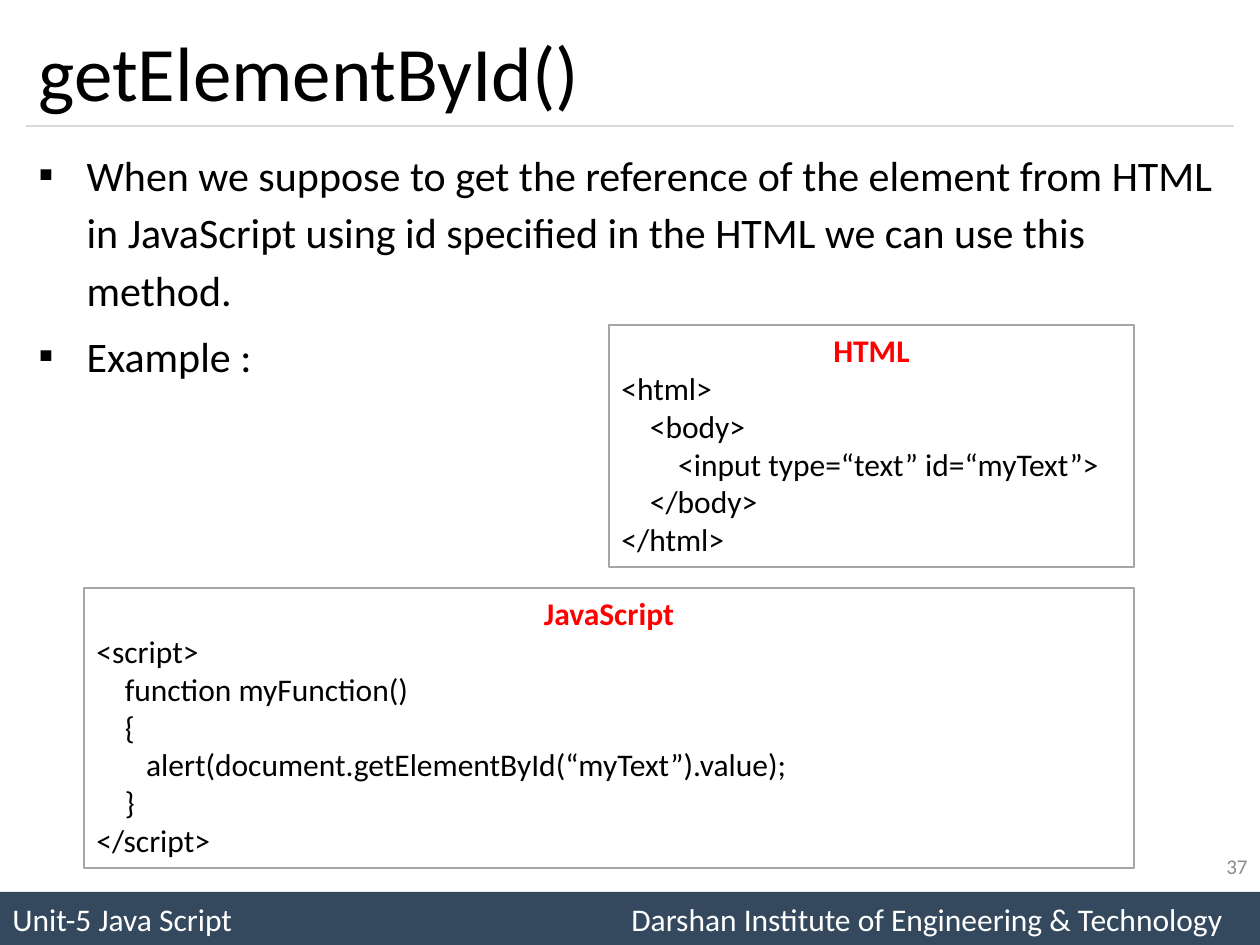
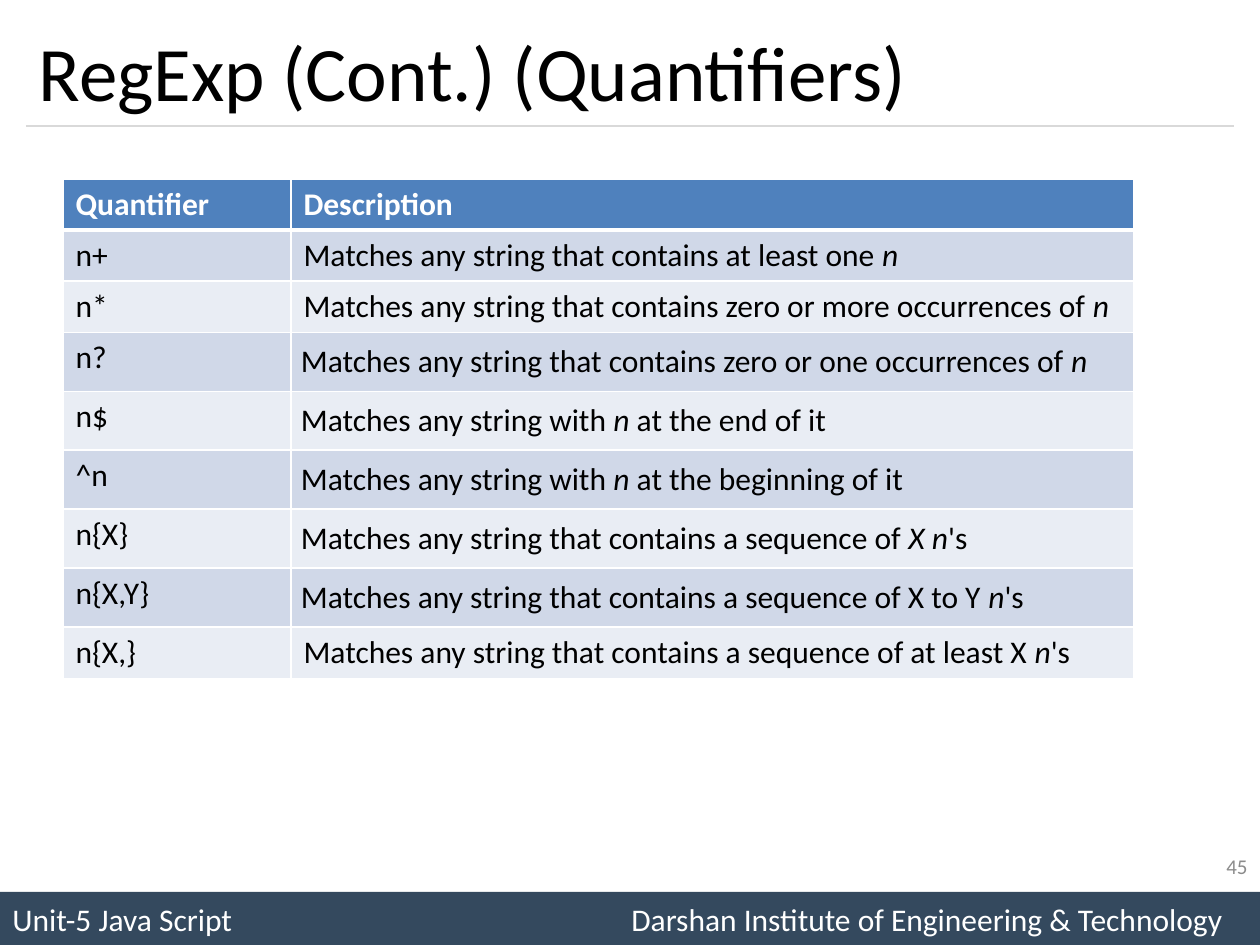
import dataclasses

import lxml.etree
import pptx
import pptx.dml.color
import pptx.enum.shapes
import pptx.enum.text
import pptx.oxml.ns
import pptx.util

qn = pptx.oxml.ns.qn
Align = pptx.enum.text.PP_ALIGN
Anchor = pptx.enum.text.MSO_ANCHOR
AutoSize = pptx.enum.text.MSO_AUTO_SIZE


@dataclasses.dataclass(frozen=True)
class Theme:
    font: str = "Calibri"
    ink: str = "000000"
    paper: str = "FFFFFF"
    band: str = "34495E"
    rule: str = "D9D9D9"
    frame: str = "A6A6A6"
    accent: str = "FF0000"
    muted: str = "8C8C8C"
    header: str = "4F81BD"
    stripes: tuple = ("D0D8E8", "E9EDF4")
    title_size: int = 44
    list_size: int = 24
    text_size: int = 18
    number_size: int = 12
    hairline: float = 0.75


def px(length):
    return pptx.util.Emu(round(length * 914400 / 126))


def rgb(value):
    return pptx.dml.color.RGBColor.from_string(value)


def set_text(paragraph, text, *, font, size, color, bold=False, align=Align.LEFT):
    """Fill a paragraph, setting the parts between underscores in italics."""
    paragraph.alignment = align
    for index, part in enumerate(text.split("_")):
        if part:
            run = paragraph.add_run()
            run.text = part
            run.font.name = font
            run.font.size = pptx.util.Pt(size)
            run.font.bold = bold
            run.font.italic = index % 2 == 1
            run.font.color.rgb = rgb(color)


class Deck:
    def __init__(self, theme):
        self.theme = theme
        self.presentation = pptx.Presentation()
        self.presentation.slide_width = px(1260)
        self.presentation.slide_height = px(945)
        self.slide = None

    def text(self, paragraph, text, **changes):
        style = dict(font=self.theme.font, size=self.theme.text_size, color=self.theme.ink)
        set_text(paragraph, text, **{**style, **changes})

    def paragraphs(self, frame, count):
        return [frame.paragraphs[0]] + [frame.add_paragraph() for _ in range(count - 1)]

    def place(self, item, left, top, width, height):
        item.left, item.top, item.width, item.height = map(px, (left, top, width, height))
        item.text_frame.word_wrap = True
        item.text_frame.auto_size = AutoSize.NONE
        return item.text_frame

    def start(self, layout, title, number):
        self.slide = self.presentation.slides.add_slide(self.presentation.slide_layouts[layout])
        self.footer("Unit-5 Java Script", "Darshan Institute of Engineering & Technology")
        self.divider(26, 1234, 126)
        heading = self.place(self.slide.shapes.title, 26, 15, 1208, 111)
        heading.vertical_anchor = Anchor.MIDDLE
        self.text(heading.paragraphs[0], title, size=self.theme.title_size)
        self.page_number(number)

    def rectangle(self, left, top, width, height):
        shape = self.slide.shapes.add_shape(
            pptx.enum.shapes.MSO_SHAPE.RECTANGLE, *map(px, (left, top, width, height)))
        shape.shadow.inherit = False
        shape.text_frame.word_wrap = True
        return shape

    def footer(self, unit, institute):
        band = self.rectangle(0, 892, 1260, 53)
        band.fill.solid()
        band.fill.fore_color.rgb = rgb(self.theme.band)
        band.line.fill.background()
        band.text_frame.vertical_anchor = Anchor.MIDDLE
        line = band.text_frame.paragraphs[0]
        stops = lxml.etree.SubElement(line._p.get_or_add_pPr(), qn("a:tabLst"))
        lxml.etree.SubElement(stops, qn("a:tab"), pos=str(px(619)), algn="l")
        self.text(line, f"{unit}\t{institute}", color=self.theme.paper)

    def divider(self, left, right, top):
        rule = self.slide.shapes.add_connector(
            pptx.enum.shapes.MSO_CONNECTOR.STRAIGHT, px(left), px(top), px(right), px(top))
        rule.line.color.rgb = rgb(self.theme.rule)
        rule.line.width = pptx.util.Pt(self.theme.hairline)
        lxml.etree.SubElement(rule._element.spPr, qn("a:effectLst"))

    def page_number(self, number):
        corner = self.slide.shapes.add_textbox(0, 0, 0, 0)
        frame = self.place(corner, 966, 841, 294, 50)
        frame.vertical_anchor = Anchor.MIDDLE
        self.text(frame.paragraphs[0], str(number), size=self.theme.number_size,
                  color=self.theme.muted, align=Align.RIGHT)

    def bullets(self, points):
        frame = self.place(self.slide.placeholders[1], 26, 136, 1208, 735)
        for index, (line, point) in enumerate(zip(self.paragraphs(frame, len(points)), points)):
            props = line._p.get_or_add_pPr()
            props.set("marL", str(px(48)))
            props.set("indent", str(-px(48)))
            lxml.etree.SubElement(props, qn("a:buFont"), typeface=self.theme.font)
            lxml.etree.SubElement(props, qn("a:buChar"), char="▪")
            line.line_spacing = 1.14
            line.space_before = pptx.util.Pt(4.8 if index else 0)
            self.text(line, point, size=self.theme.list_size)

    def code(self, language, listing, left, top, width, height):
        box = self.rectangle(left, top, width, height)
        box.fill.background()
        box.line.color.rgb = rgb(self.theme.frame)
        box.line.width = pptx.util.Pt(self.theme.hairline)
        frame = box.text_frame
        frame.vertical_anchor = Anchor.TOP
        frame.auto_size = AutoSize.SHAPE_TO_FIT_TEXT
        heading, *lines = self.paragraphs(frame, len(listing) + 1)
        self.text(heading, language, color=self.theme.accent, bold=True, align=Align.CENTER)
        for line, statement in zip(lines, listing):
            self.text(line, statement)

    def cell(self, cell, text, fill, borders, **changes):
        props = cell._tc.get_or_add_tcPr()
        for side, points in zip("LRTB", borders):
            edge = lxml.etree.SubElement(props, qn(f"a:ln{side}"), w=str(pptx.util.Pt(points)))
            paint = lxml.etree.SubElement(edge, qn("a:solidFill"))
            lxml.etree.SubElement(paint, qn("a:srgbClr"), val=self.theme.paper)
        cell.fill.solid()
        cell.fill.fore_color.rgb = rgb(fill)
        self.text(cell.text_frame.paragraphs[0], text, **changes)

    def table(self, rows, roomy, left, top, widths):
        heights = [59 if index in roomy else 51 for index in range(len(rows))]
        grid = self.slide.shapes.add_table(
            len(rows), len(widths), *map(px, (left, top, sum(widths), sum(heights)))).table
        for column, width in zip(grid.columns, widths):
            column.width = px(width)
        for index, texts in enumerate(rows):
            grid.rows[index].height = px(heights[index])
            if index == 0:
                look = dict(fill=self.theme.header, borders=(1, 1, 1, 3),
                            color=self.theme.paper, bold=True)
            else:
                look = dict(fill=self.theme.stripes[(index - 1) % 2],
                            borders=(1, 1, 3 if index == 1 else 1, 1))
            for column, text in enumerate(texts):
                self.cell(grid.cell(index, column), text, **look)
            if index in roomy:
                description = grid.cell(index, 1)
                description.margin_left = description.margin_right = px(10)
                description.margin_top = description.margin_bottom = px(10)


def main():
    deck = Deck(Theme())

    deck.start(1, "getElementById()", 37)
    deck.bullets([
        "When we suppose to get the reference of the element from HTML in JavaScript "
        "using id specified in the HTML we can use this method.",
        "Example :",
    ])
    deck.code("HTML", [
        "<html>",
        "    <body>",
        "        <input type=“text” id=“myText”>",
        "    </body>",
        "</html>",
    ], 609, 325, 525, 242)
    deck.code("JavaScript", [
        "<script>",
        "    function myFunction()",
        "    {",
        "       alert(document.getElementById(“myText”).value);",
        "    }",
        "</script>",
    ], 84, 588, 1050, 280)

    deck.start(5, "RegExp (Cont.) (Quantifiers)", 45)
    matches = "Matches any string"
    quantifiers = [
        ("Quantifier", "Description"),
        ("n+", f"{matches} that contains at least one _n_"),
        ("n*", f"{matches} that contains zero or more occurrences of _n_"),
        ("n?", f"{matches} that contains zero or one occurrences of _n_"),
        ("n$", f"{matches} with _n_ at the end of it"),
        ("^n", f"{matches} with _n_ at the beginning of it"),
        ("n{X}", f"{matches} that contains a sequence of _X n_'s"),
        ("n{X,Y}", f"{matches} that contains a sequence of X to Y _n_'s"),
        ("n{X,}", f"{matches} that contains a sequence of at least X _n_'s"),
    ]
    deck.table(quantifiers, range(3, 8), 63, 179, (228, 843))

    deck.presentation.save("out.pptx")


if __name__ == "__main__":
    main()
